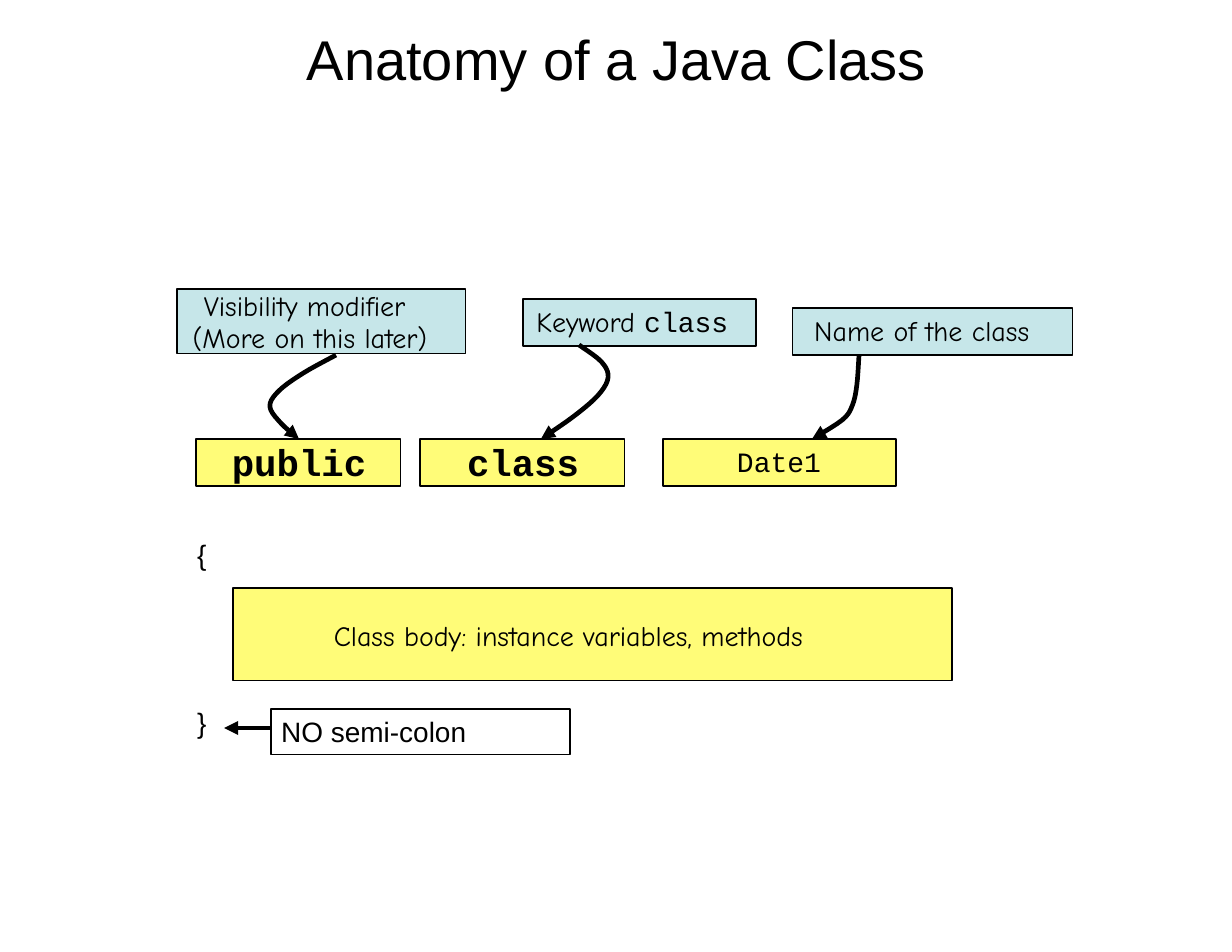
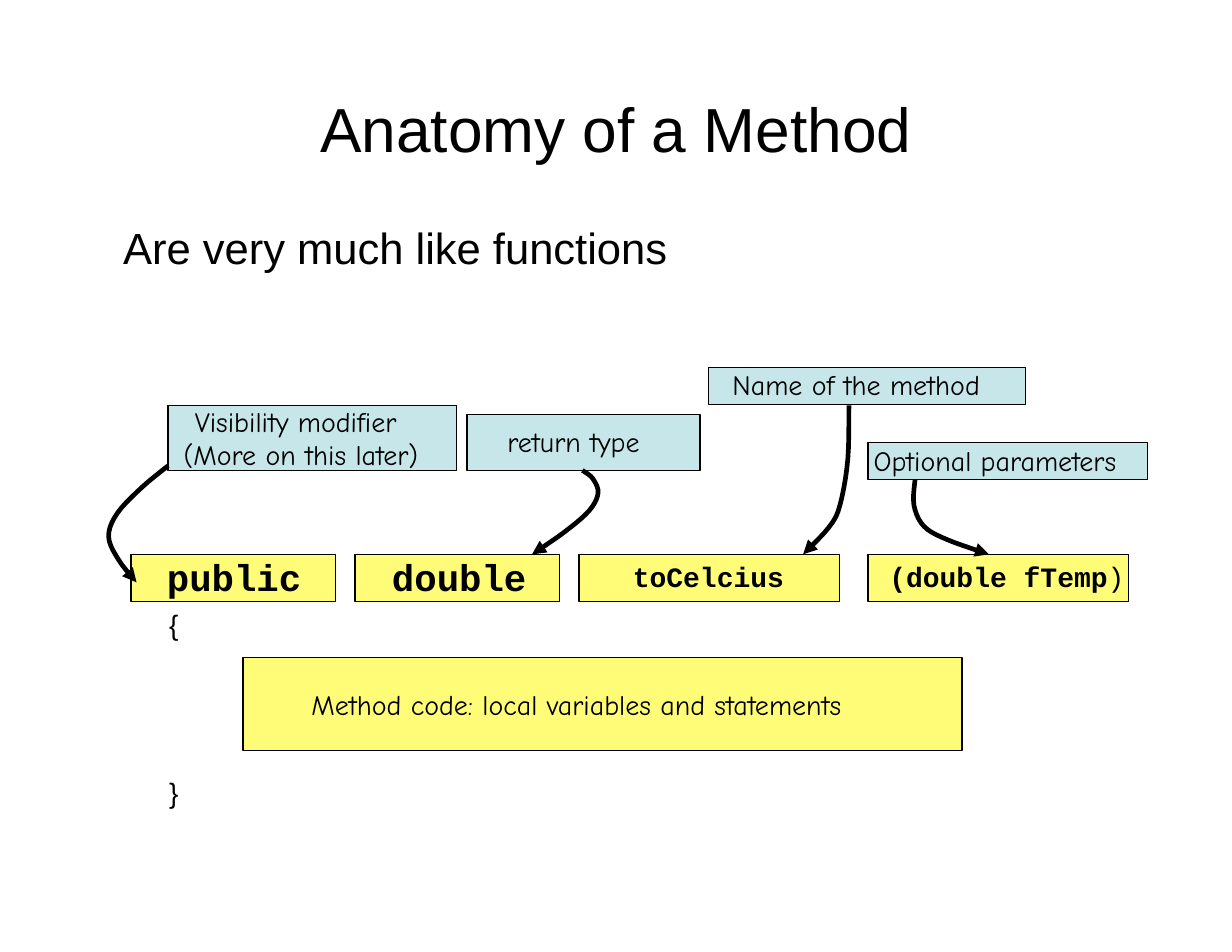
from pptx import Presentation
from pptx.dml.color import RGBColor
from pptx.enum.shapes import MSO_CONNECTOR, MSO_SHAPE
from pptx.enum.text import MSO_ANCHOR, PP_ALIGN
from pptx.oxml import parse_xml
from pptx.oxml.ns import nsdecls
from pptx.util import Inches, Pt

BLACK, BLUE, YELLOW = "000000", "C6E6E9", "FFFC78"
PLAIN = {"name": "Arial", "size": Pt(18), "bold": False}
COMIC = PLAIN | {"name": "Comic Neue"}
CODE = PLAIN | {"name": "Courier New"}
BOLD_CODE = CODE | {"bold": True}
KEYWORD = BOLD_CODE | {"size": Pt(24)}
VISIBILITY = "Visibility modifier\v(More on this later)"

SLIDES = [
    {
        "texts": [
            (2.74, 0.22, 5.7, 0.7, "Anatomy of a Java Class", PLAIN | {"size": Pt(36)}),
            (1.76, 4.8, 0.2, 0.31, "{", PLAIN),
            (1.76, 6.3, 0.2, 0.31, "}", PLAIN),
        ],
        "boxes": [
            (1.58, 2.58, 2.58, 0.58, BLUE, 0.14, 0, [(VISIBILITY, COMIC)]),
            (7.08, 2.75, 2.5, 0.42, BLUE, 0.19, 0.05, [("Name of the class", COMIC)]),
            (4.67, 2.67, 2.08, 0.42, BLUE, 0.12, 0.05, [("Keyword ", COMIC), ("class", CODE)]),
            (1.75, 3.92, 1.83, 0.42, YELLOW, 0.32, 0, [("public", KEYWORD)]),
            (3.75, 3.92, 1.83, 0.42, YELLOW, 0.42, 0, [("class", KEYWORD)]),
            (5.92, 3.92, 2.08, 0.42, YELLOW, 0.66, 0.05, [("Date1", CODE)]),
            (2.08, 5.25, 6.42, 0.83, YELLOW, 0.9, 0.27,
             [("Class body: instance variables, methods", COMIC)]),
            (2.42, 6.33, 2.67, 0.41, None, 0.09, 0.05, [("NO semi-colon", PLAIN)]),
        ],
        "curves": [
            [(3, 3.17), (2.71, 3.33), (2.49, 3.49), (2.41, 3.63), (2.51, 3.78), (2.67, 3.92)],
            [(5.17, 3.08), (5.37, 3.23), (5.43, 3.37), (5.34, 3.53), (5.12, 3.72), (4.83, 3.92)],
            [(7.67, 3.17), (7.65, 3.44), (7.61, 3.62), (7.52, 3.75), (7.25, 3.92)],
        ],
        "arrows": [(2.42, 6.5, 2, 6.5)],
    },
    {
        "texts": [
            (2.86, 0.81, 5.6, 0.68, "Anatomy of a Method", PLAIN | {"size": Pt(40)}),
            (1.1, 1.97, 5.2, 0.48, "Are very much like functions", PLAIN | {"size": Pt(28)}),
            (1.51, 5.42, 0.2, 0.31, "{", PLAIN),
            (1.51, 6.92, 0.2, 0.31, "}", PLAIN),
        ],
        "boxes": [
            (1.5, 3.62, 2.58, 0.58, BLUE, 0.14, 0, [(VISIBILITY, COMIC)]),
            (6.33, 3.28, 2.83, 0.33, BLUE, 0.21, 0, [("Name of the method", COMIC)]),
            (4.17, 3.7, 2.08, 0.5, BLUE, 0.36, 0.09, [("return type", COMIC)]),
            (1.17, 4.95, 1.83, 0.42, YELLOW, 0.32, 0, [("public", KEYWORD)]),
            (3.17, 4.95, 1.83, 0.42, YELLOW, 0.33, 0, [("double", KEYWORD)]),
            (5.17, 4.95, 2.33, 0.42, YELLOW, 0.48, 0.05, [("toCelcius", BOLD_CODE)]),
            (7.75, 4.95, 2.33, 0.42, YELLOW, 0.19, 0.05,
             [("(double fTemp", BOLD_CODE), (")", CODE)]),
            (2.17, 5.87, 6.42, 0.83, YELLOW, 0.61, 0.27,
             [("Method code: local variables and statements", COMIC)]),
            (7.75, 3.95, 2.5, 0.33, BLUE, 0.05, 0.01, [("Optional parameters", COMIC)]),
        ],
        "curves": [
            [(1.5, 4.16), (1.27, 4.35), (1.05, 4.58), (0.97, 4.79), (1.06, 5), (1.22, 5.2)],
            [(5.2, 4.2), (5.29, 4.27), (5.34, 4.4), (5.26, 4.56), (5.04, 4.75), (4.75, 4.95)],
            [(7.58, 3.62), (7.57, 4.1), (7.5, 4.51), (7.4, 4.71), (7.17, 4.95)],
            [(8.17, 4.28), (8.16, 4.51), (8.25, 4.7), (8.46, 4.82), (8.83, 4.95)],
        ],
        "arrows": [],
    },
]


def color(value):
    return RGBColor.from_string(value)


def write(shape, spans, left=0, top=0):
    frame = shape.text_frame
    settings = {"margin_left": Inches(left), "margin_top": Inches(top), "margin_right": 0,
                "margin_bottom": 0, "word_wrap": True, "vertical_anchor": MSO_ANCHOR.TOP}
    for name, value in settings.items():
        setattr(frame, name, value)
    para = frame.paragraphs[0]
    para.alignment = PP_ALIGN.LEFT
    for text, style in spans:
        for number, line in enumerate(text.split("\v")):
            if number:
                para.add_line_break()
            span = para.add_run()
            span.text = line
            for name, value in style.items():
                setattr(span.font, name, value)
            span.font.color.rgb = color(BLACK)
    if "\v" in spans[0][0]:
        para.line_spacing = Pt(21)
        properties = para._p.get_or_add_pPr()
        properties.set("indent", str(Inches(0.1)))


def add_box(page, left, top, width, height, fill, indent, inset, spans):
    area = map(Inches, (left, top, width, height))
    box = page.shapes.add_shape(MSO_SHAPE.RECTANGLE, *area)
    box.shadow.inherit = False
    if fill:
        box.fill.solid()
        box.fill.fore_color.rgb = color(fill)
    else:
        box.fill.background()
    box.line.color.rgb = color(BLACK)
    box.line.width = Pt(0.75)
    write(box, spans, indent, inset)


def style_arrow(shape):
    shape.line.color.rgb = color(BLACK)
    shape.line.width = Pt(3)
    shape.line._get_or_add_ln().append(
        parse_xml(f'<a:tailEnd {nsdecls("a")} type="triangle" w="med" len="med"/>'))


def smooth(points, steps=5):
    padded = [points[0], *points, points[-1]]
    curve = [points[0]]
    for a, b, c, d in zip(padded, padded[1:], padded[2:], padded[3:]):
        for step in range(1, steps + 1):
            t = step / steps
            curve.append(tuple(
                (2 * q + (r - p) * t + (2 * p - 5 * q + 4 * r - s) * t ** 2
                 + (3 * q - p - 3 * r + s) * t ** 3) / 2
                for p, q, r, s in zip(a, b, c, d)))
    return curve


def add_curve(page, points):
    start, *others = [(Inches(x), Inches(y)) for x, y in smooth(points)]
    builder = page.shapes.build_freeform(*start)
    builder.add_line_segments(others, close=False)
    curve = builder.convert_to_shape()
    curve.shadow.inherit = False
    curve.fill.background()
    style_arrow(curve)


def add_arrow(page, *ends):
    arrow = page.shapes.add_connector(MSO_CONNECTOR.STRAIGHT, *map(Inches, ends))
    arrow._element.spPr.append(parse_xml(f'<a:effectLst {nsdecls("a")}/>'))
    style_arrow(arrow)


def main():
    deck = Presentation()
    deck.slide_width, deck.slide_height = Inches(11), Inches(8.5)
    for content in SLIDES:
        page = deck.slides.add_slide(deck.slide_layouts[6])
        for left, top, width, height, text, style in content["texts"]:
            area = map(Inches, (left, top, width, height))
            write(page.shapes.add_textbox(*area), [(text, style)])
        for box in content["boxes"]:
            add_box(page, *box)
        for points in content["curves"]:
            add_curve(page, points)
        for ends in content["arrows"]:
            add_arrow(page, *ends)
    deck.save("out.pptx")


if __name__ == "__main__":
    main()
